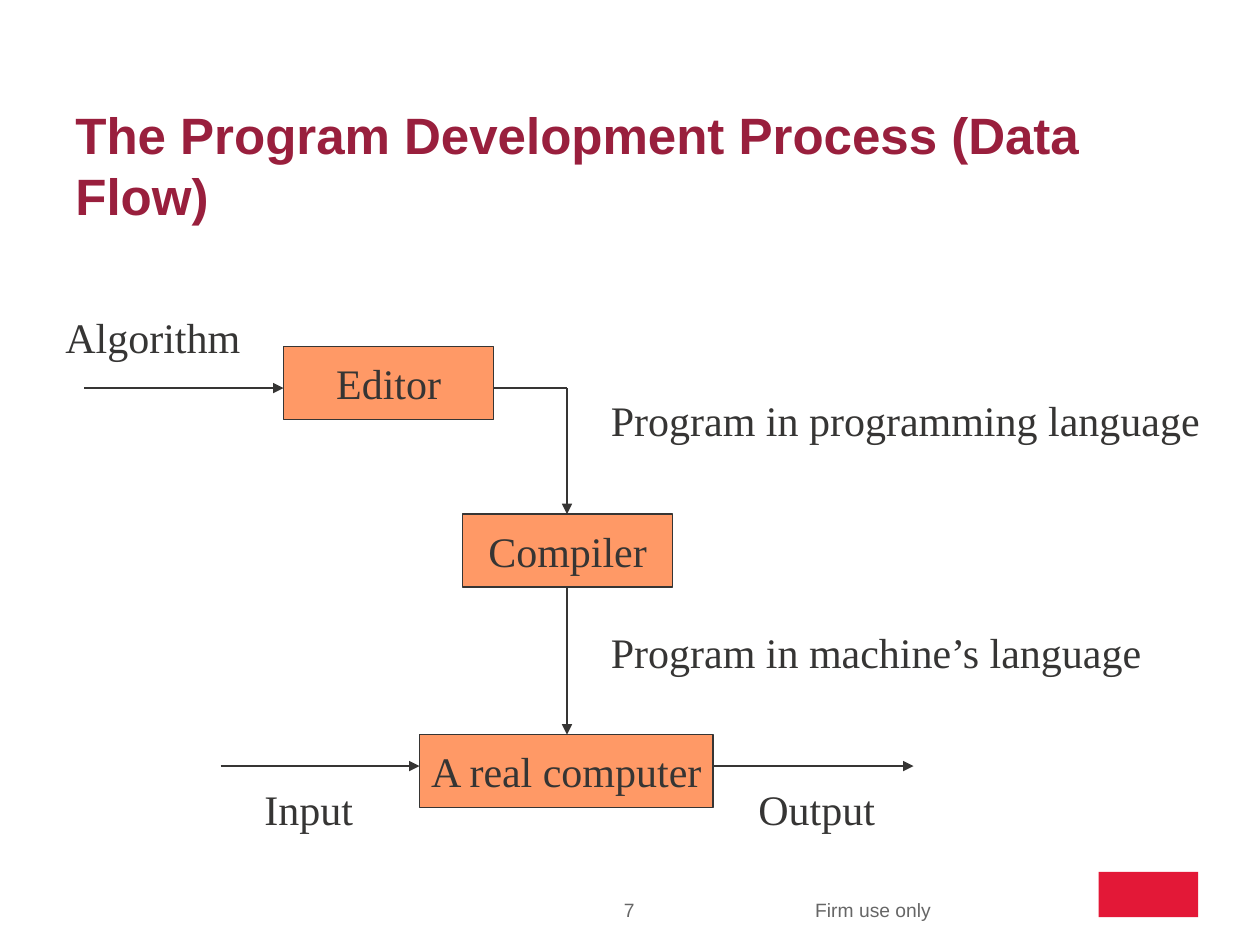
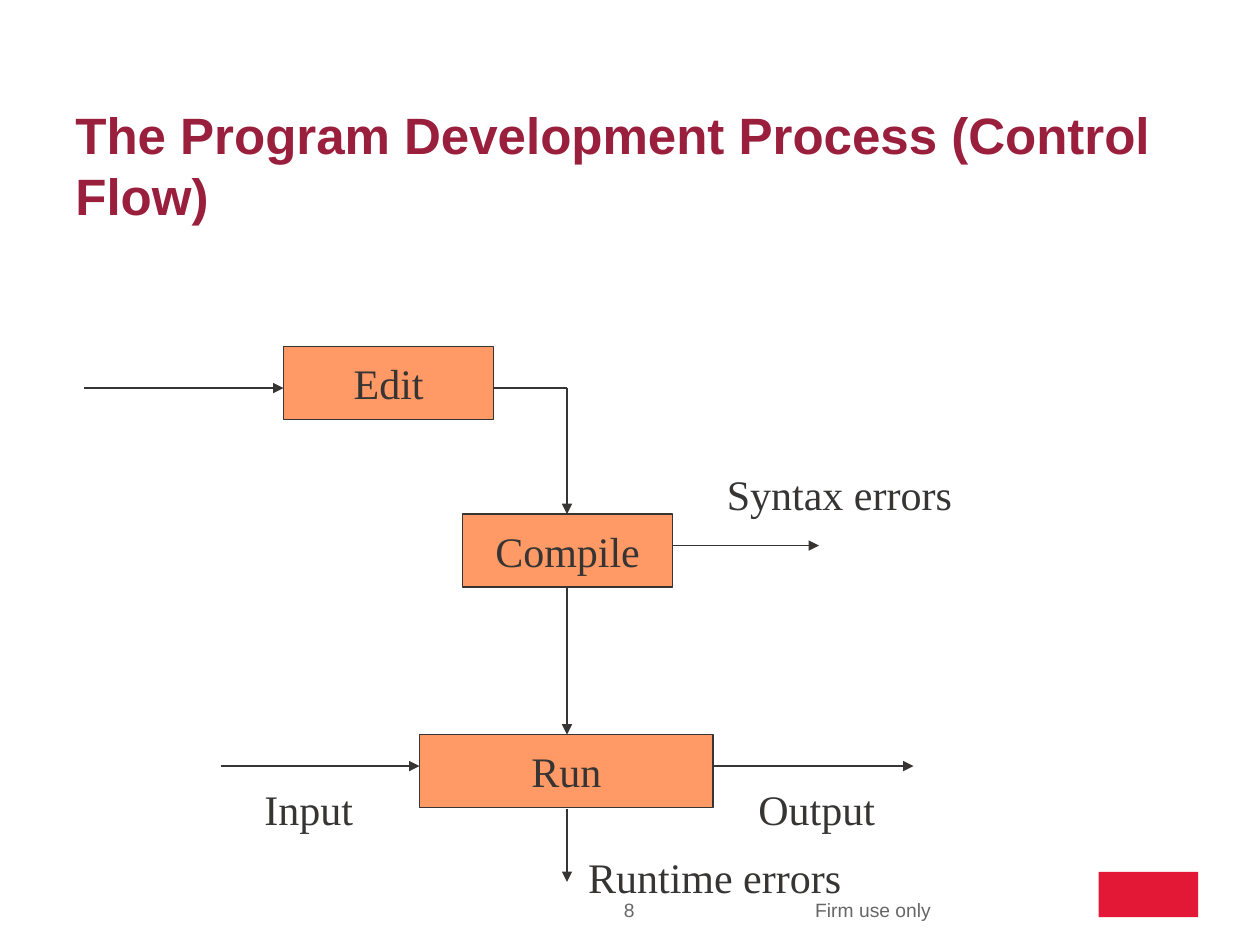
from pptx import Presentation
from pptx import util as u
from pptx.dml import color
from pptx.enum import shapes, text
from pptx.oxml import ns
from lxml import etree

INK, BOX, TITLE, GREY, RED = "363534", "FF9966", "991F3D", "666666", "E31837"
SERIF, SANS = "Times New Roman", "Arial"
AXIS, ENTRY_Y, RUN_Y = 4.5, 3.08, 6.08


def rgb(value):
    return color.RGBColor.from_string(value)


def write(sp, content, font=SERIF, size=24, ink=INK, bold=False, align="LEFT",
          anchor="TOP", wrap=False, inset=None):
    tf = sp.text_frame
    tf.word_wrap = wrap
    tf.vertical_anchor = text.MSO_ANCHOR[anchor]
    if inset is not None:
        tf.margin_left = tf.margin_right = tf.margin_top = tf.margin_bottom = u.Inches(inset)
    p = tf.paragraphs[0]
    p.alignment = text.PP_ALIGN[align]
    r = p.add_run()
    r.text = content
    r.font.name, r.font.size, r.font.bold = font, u.Pt(size), bold
    r.font.color.rgb = rgb(ink)
    return tf


class Deck:
    def __init__(self):
        self.prs = Presentation()
        self.prs.slide_width, self.prs.slide_height = u.Inches(10), u.Inches(7.5)
        self.s = None

    def slide(self, title, number):
        self.s = self.prs.slides.add_slide(self.prs.slide_layouts[6])
        self.rect(8.72, 6.92, 0.79, 0.36, RED)
        footer = dict(font=SANS, size=11, ink=GREY, inset=0)
        self.text(6.47, 7.13, 1.84, 0.19, "Firm use only", wrap=True, **footer)
        self.text(4.57, 7.13, 0.85, 0.26, str(number), align="CENTER", **footer)
        self.text(0.5, 0.77, 9, 1.25, title, font=SANS, size=29.2, ink=TITLE,
                  bold=True, wrap=True)

    def text(self, x, y, w, h, content, **style):
        sp = self.s.shapes.add_textbox(*map(u.Inches, (x, y, w, h)))
        return write(sp, content, **style)

    def label(self, x, y, w, content):
        tf = self.text(x, y, w, 0.5, content)
        tf.auto_size = text.MSO_AUTO_SIZE.SHAPE_TO_FIT_TEXT

    def rect(self, x, y, w, h, fill):
        sp = self.s.shapes.add_shape(shapes.MSO_SHAPE.RECTANGLE, *map(u.Inches, (x, y, w, h)))
        sp.shadow.inherit = False
        sp.fill.solid()
        sp.fill.fore_color.rgb = rgb(fill)
        sp.line.fill.background()
        return sp

    def step(self, x, y, w, content):
        sp = self.rect(x, y, w, 0.58, BOX)
        sp.line.color.rgb = rgb(INK)
        sp.line.width = u.Pt(0.75)
        write(sp, content, align="CENTER", anchor="MIDDLE")

    def line(self, x1, y1, x2, y2, arrow=True):
        c = self.s.shapes.add_connector(shapes.MSO_CONNECTOR.STRAIGHT,
                                        *map(u.Inches, (x1, y1, x2, y2)))
        c.line.color.rgb = rgb(INK)
        c.line.width = u.Pt(0.75)
        if arrow:
            etree.SubElement(c.line._get_or_add_ln(), ns.qn("a:tailEnd"), type="triangle")
        etree.SubElement(c._element.spPr, ns.qn("a:effectLst"))

    def flow(self, first, second, third):
        self.step(2.25, 2.75, 1.67, first)
        self.step(3.67, 4.08, 1.67, second)
        self.step(3.33, 5.83, 2.33, third)
        self.line(AXIS, ENTRY_Y, AXIS, 4.08)
        self.line(AXIS, 4.67, AXIS, 5.83)
        self.line(0.67, ENTRY_Y, 2.25, ENTRY_Y)
        self.line(3.92, ENTRY_Y, AXIS, ENTRY_Y, arrow=False)
        self.label(2, 6.17, 0.95, "Input")
        self.line(1.75, RUN_Y, 3.33, RUN_Y)
        self.label(5.92, 6.17, 1.15, "Output")
        self.line(5.67, RUN_Y, 7.25, RUN_Y)


deck = Deck()

deck.slide("The Program Development Process (Data Flow)", 7)
deck.flow("Editor", "Compiler", "A real computer")
deck.label(0.42, 2.42, 1.62, "Algorithm")
deck.label(4.75, 3.08, 4.92, "Program in programming language")
deck.label(4.75, 4.92, 4.47, "Program in machine\u2019s language")

deck.slide("The Program Development Process (Control Flow)", 8)
deck.flow("Edit", "Compile", "Run")
deck.label(5.67, 3.67, 2.02, "Syntax errors")
deck.line(5.33, 4.33, 6.5, 4.33)
deck.line(AXIS, 6.42, AXIS, 7)
deck.label(4.57, 6.71, 2.24, "Runtime errors")

deck.prs.save("out.pptx")
